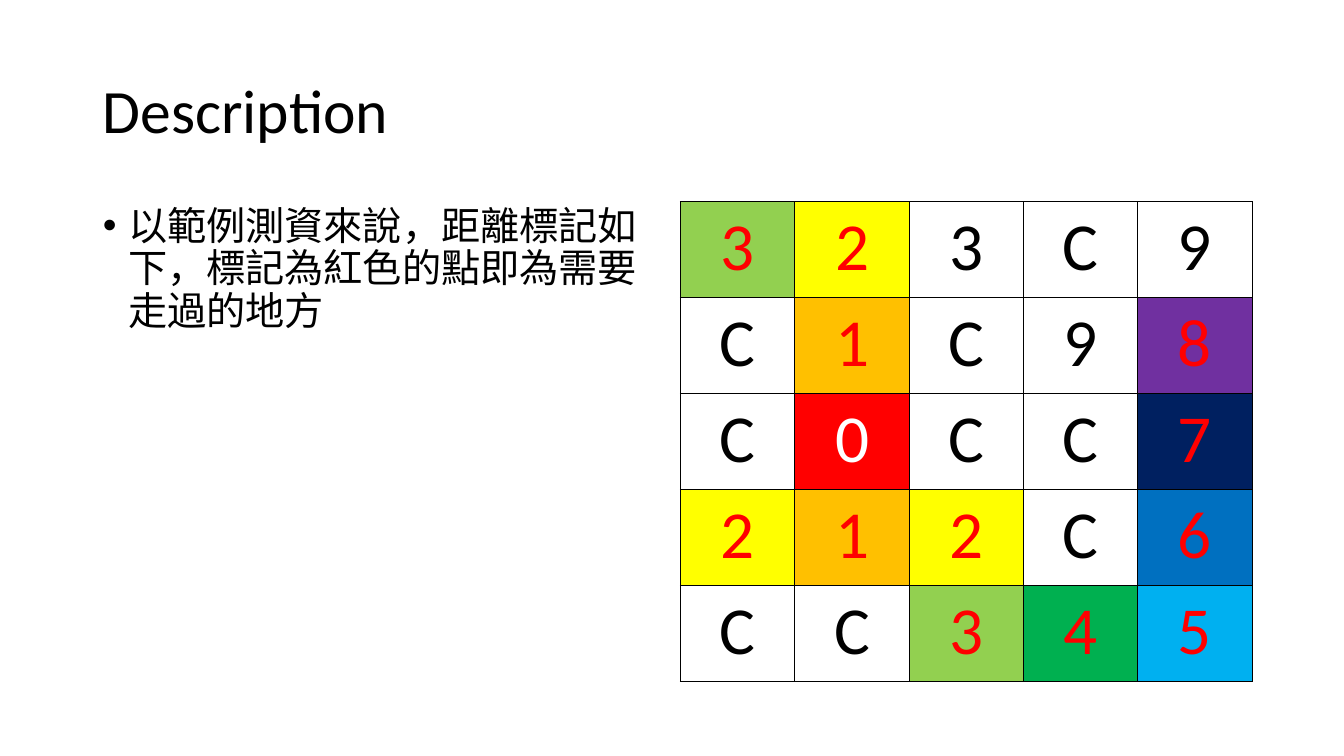
import pptx
import pptx.util
import pptx.dml.color
import pptx.enum.text
import pptx.oxml
import pptx.oxml.ns

HEADING = "Description"
EXPLANATION = "以範例測資來說，距離標記如下，標記為紅色的點即為需要走過的地方"
DISTANCES = ["323C9", "C1C98", "C0CC7", "212C6", "CC345"]
OFF_ROUTE = {(0, 2)}
FONT = "Calibri"
COLORS = {
    "text": "000000", "route": "FF0000", "start": "FFFFFF", "border": "000000",
    "0": "FF0000", "1": "FFC000", "2": "FFFF00", "3": "92D050", "4": "00B050",
    "5": "00B0F0", "6": "0070C0", "7": "002060", "8": "7030A0",
}
MARGIN, COLUMN_WIDTH, COLUMN_GAP = 0.92, 5.67, 0.16
BODY_TOP, BODY_HEIGHT = 2, 4.76


def inches(*lengths):
    return [pptx.util.Inches(length) for length in lengths]


def rgb(name):
    return pptx.dml.color.RGBColor.from_string(COLORS[name])


def style(paragraph, size, color, align):
    paragraph.alignment = align
    for run in paragraph.runs:
        run.font.name = FONT
        run.font.size = pptx.util.Pt(size)
        run.font.color.rgb = rgb(color)


def fill_placeholder(holder, box, words, size, anchor):
    holder.left, holder.top, holder.width, holder.height = inches(*box)
    frame = holder.text_frame
    frame.text = words
    frame.auto_size = pptx.enum.text.MSO_AUTO_SIZE.NONE
    frame.vertical_anchor = anchor
    paragraph = frame.paragraphs[0]
    paragraph.line_spacing = 0.9
    style(paragraph, size, "text", pptx.enum.text.PP_ALIGN.LEFT)
    return paragraph


def add_borders(cell):
    properties = cell._tc.get_or_add_tcPr()
    for position, side in enumerate(("lnL", "lnR", "lnT", "lnB")):
        properties.insert(position, pptx.oxml.parse_xml(
            f'<a:{side} {pptx.oxml.ns.nsdecls("a")} w="{pptx.util.Pt(1)}">'
            f'<a:solidFill><a:srgbClr val="{COLORS["border"]}"/></a:solidFill></a:{side}>'))


deck = pptx.Presentation()
deck.slide_width, deck.slide_height = inches(13.33, 7.5)
slide = deck.slides.add_slide(deck.slide_layouts[1])
heading, explanation = slide.placeholders

fill_placeholder(heading, (MARGIN, 0.4, 11.5, 1.45), HEADING, 44,
                 pptx.enum.text.MSO_ANCHOR.MIDDLE)
bullet = fill_placeholder(explanation, (MARGIN, BODY_TOP, COLUMN_WIDTH, BODY_HEIGHT),
                          EXPLANATION, 28, pptx.enum.text.MSO_ANCHOR.TOP)
bullet.space_before = pptx.util.Pt(10)
indent = pptx.util.Inches(0.25)
bullet_properties = bullet._p.get_or_add_pPr()
bullet_properties.set("marL", str(indent))
bullet_properties.set("indent", str(-indent))

grid_left = MARGIN + COLUMN_WIDTH + COLUMN_GAP
grid = slide.shapes.add_table(
    len(DISTANCES), len(DISTANCES[0]),
    *inches(grid_left, BODY_TOP, COLUMN_WIDTH, BODY_HEIGHT)).table
grid.first_row = grid.horz_banding = False

for row, line in enumerate(DISTANCES):
    for column, distance in enumerate(line):
        cell = grid.cell(row, column)
        on_route = distance in COLORS and (row, column) not in OFF_ROUTE
        if on_route:
            cell.fill.solid()
            cell.fill.fore_color.rgb = rgb(distance)
        else:
            cell.fill.background()
        add_borders(cell)
        cell.text_frame.text = distance
        color = "start" if distance == "0" else "route" if on_route else "text"
        style(cell.text_frame.paragraphs[0], 48, color, pptx.enum.text.PP_ALIGN.CENTER)

deck.save("out.pptx")
